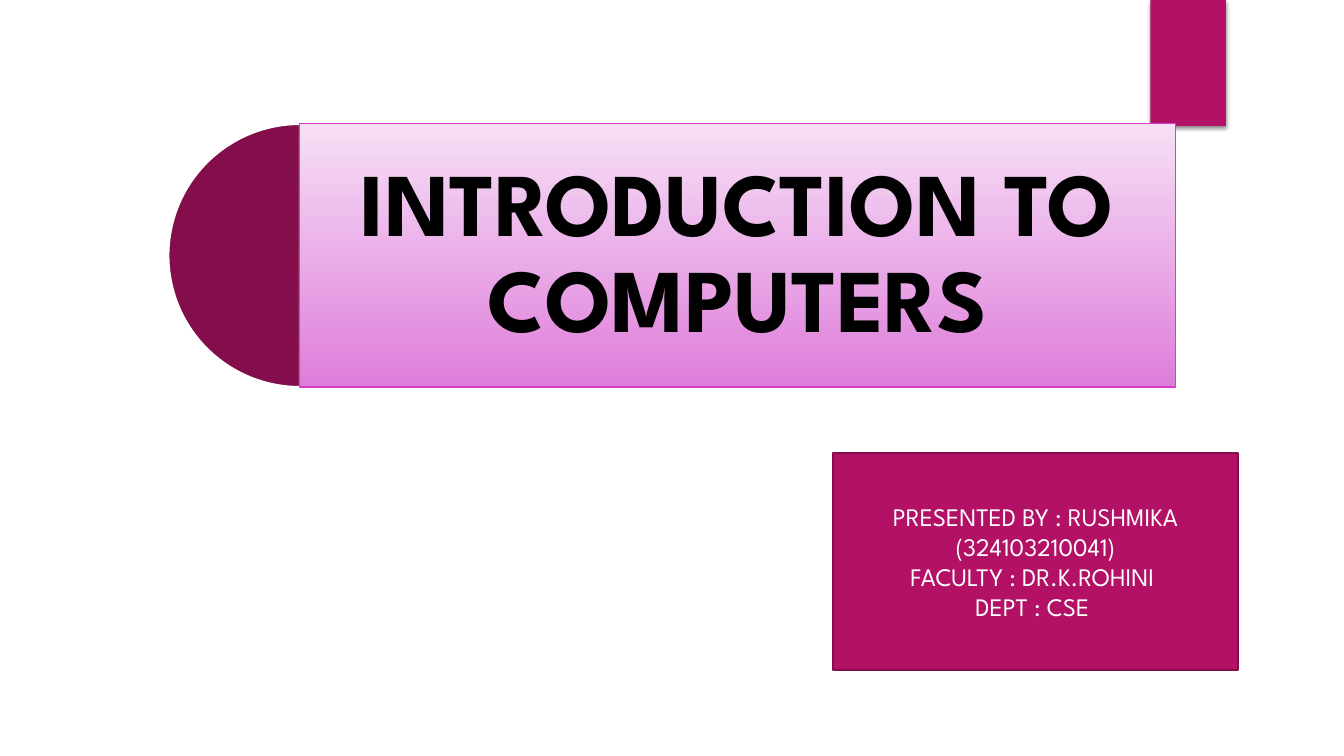
import pptx
import pptx.util
import pptx.dml.color
import pptx.enum.shapes
import pptx.enum.text
import pptx.oxml
import pptx.oxml.ns

Inches, Pt = pptx.util.Inches, pptx.util.Pt
SHAPES = pptx.enum.shapes.MSO_SHAPE
FONT = "League Spartan"
COLORS = {
    "magenta": "B31166", "plum": "840D4B", "white": "FFFFFF", "black": "000000",
    "pale pink": "F6DFF5", "orchid": "DF7DDB", "banner edge": "D53DD0",
}


def rgb(name):
    return pptx.dml.color.RGBColor.from_string(COLORS[name])


def add_block(kind, box, fill=None, line=None, width=0):
    """Add a shadowless shape; without a fill or line name that part stays plain."""
    block = slide.shapes.add_shape(kind, *(Inches(length) for length in box))
    block.shadow.inherit = False
    if fill:
        block.fill.solid()
        block.fill.fore_color.rgb = rgb(fill)
    if line:
        block.line.color.rgb = rgb(line)
        block.line.width = Pt(width)
    else:
        block.line.fill.background()
    return block


presentation = pptx.Presentation()
presentation.slide_width = Inches(13.33)
presentation.slide_height = Inches(7.5)
slide = presentation.slides.add_slide(presentation.slide_layouts[6])

# Ribbon at the top edge, with a soft shadow below
ribbon = add_block(SHAPES.RECTANGLE, (11.41, 0, 0.75, 1.25), "magenta")
effects = ribbon._element.spPr.find(pptx.oxml.ns.qn("a:effectLst"))
effects.append(pptx.oxml.parse_xml(
    f'<a:outerShdw {pptx.oxml.ns.nsdecls("a")} blurRad="{Pt(3)}" dist="{Pt(2)}" '
    'dir="5400000" rotWithShape="0"><a:srgbClr val="000000">'
    '<a:alpha val="45000"/></a:srgbClr></a:outerShdw>'))

# Title banner with a half disc on its left
half_disc = add_block(SHAPES.PIE, (1.67, 1.23, 2.61, 2.61), "plum", "white", 1.5)
half_disc.adjustments[0] = 54
half_disc.adjustments[1] = 162

banner = add_block(SHAPES.RECTANGLE, (2.97, 1.23, 8.69, 2.61), line="banner edge", width=0.75)
banner.fill.gradient()
banner.fill.gradient_angle = 270
for stop, position, color in zip(banner.fill.gradient_stops, (0, 1), ("pale pink", "orchid")):
    stop.position = position
    stop.color.rgb = rgb(color)
title = banner.text_frame
title.margin_left = title.margin_right = Inches(0.27)
title.margin_top = title.margin_bottom = Inches(0.27)
title.text = "INTRODUCTION TO COMPUTERS"
title.paragraphs[0].line_spacing = 0.9

# Presenter details
presenter = add_block(SHAPES.RECTANGLE, (8.26, 4.49, 4.02, 2.16), "magenta", "plum", 1.5)
details = presenter.text_frame
details.text = "PRESENTED BY : RUSHMIKA (324103210041)\nFACULTY : DR.K.ROHINI \nDEPT : CSE "

for frame, size, color, bold in ((title, 64, "black", True), (details, 18, "white", False)):
    frame.word_wrap = True
    frame.vertical_anchor = pptx.enum.text.MSO_ANCHOR.MIDDLE
    for paragraph in frame.paragraphs:
        paragraph.alignment = pptx.enum.text.PP_ALIGN.CENTER
        paragraph.font.name = FONT
        paragraph.font.size = Pt(size)
        paragraph.font.bold = bold
        paragraph.font.color.rgb = rgb(color)

presentation.save("out.pptx")
